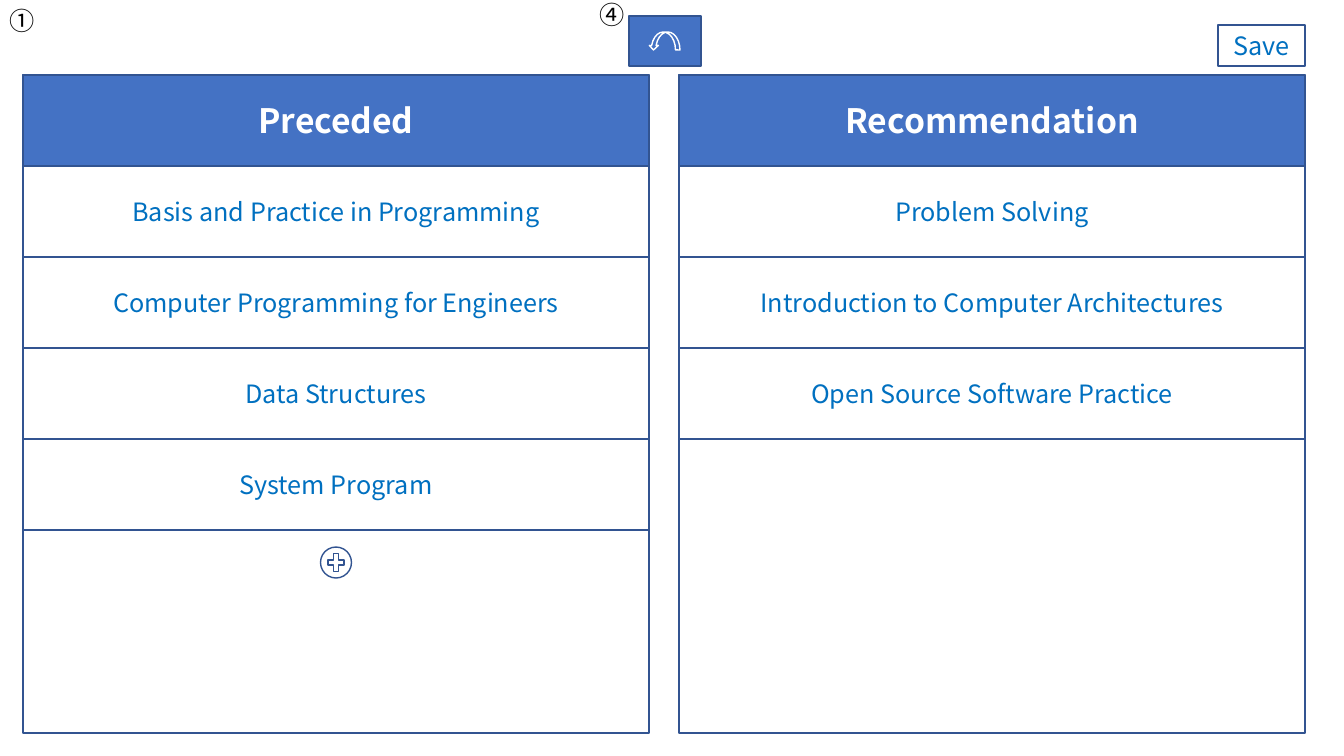
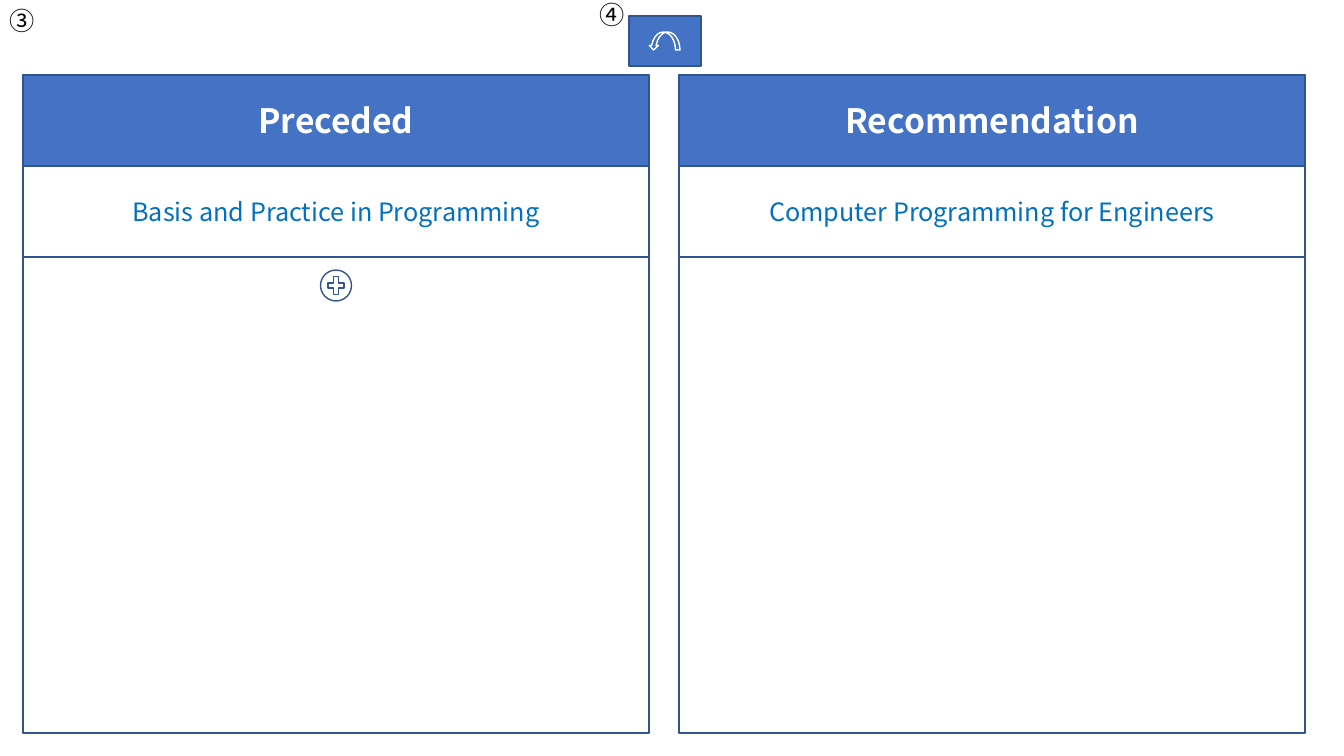
from pptx import Presentation
from pptx.dml.color import RGBColor
from pptx.enum.shapes import MSO_SHAPE
from pptx.enum.text import MSO_ANCHOR, MSO_AUTO_SIZE, PP_ALIGN
from pptx.oxml.ns import qn
from pptx.oxml.xmlchemy import OxmlElement
from pptx.util import Pt

# Content: headings are shared, courses differ by slide
HEADINGS = ("Preceded", "Recommendation")
SLIDES = [
    {
        "marker": "①",
        "courses": (
            ["Basis and Practice in Programming", "Computer Programming for Engineers",
             "Data Structures", "System Program"],
            ["Problem Solving", "Introduction to Computer Architectures",
             "Open Source Software Practice"],
        ),
        "add_gap": 17,
        "save": "Save",
    },
    {
        "marker": "③",
        "courses": (
            ["Basis and Practice in Programming"],
            ["Computer Programming for Engineers"],
        ),
        "add_gap": 13,
        "save": None,
    },
]
UNDO_MARKER = "④"

# Style
FONT = "Noto Sans CJK KR"
COLORS = {"blue": "4472C4", "border": "325491", "link": "0070C0",
          "white": "FFFFFF", "black": "000000"}

# Layout in px
PX = 914400 / 100.8
SLIDE_W, SLIDE_H = 1344, 756
PANEL_X, PANEL_Y, PANEL_W, PANEL_H = 23, 75, 626, 658
PANEL_GAP = 30
ROW_H = 91
ADD_SIZE, PLUS_W, PLUS_H = 31, 22, 25
MARKER_W, MARKER_H = 45, 40


def px(*lengths):
    return [round(n * PX) for n in lengths]


def color(name):
    return RGBColor.from_string(COLORS[name])


def write(sp, text, size, ink, bold=False, align=PP_ALIGN.CENTER):
    p = sp.text_frame.paragraphs[0]
    p.text = text
    p.alignment = align
    p.font.size, p.font.bold, p.font.name = Pt(size), bold, FONT
    p.font.color.rgb = color(ink)
    # East Asian typeface, used by the circled digits
    ea = OxmlElement("a:ea")
    ea.set("typeface", FONT)
    p._p.pPr.find(qn("a:defRPr")).append(ea)


def add_shape(slide, kind, box, fill=None, line="border"):
    sp = slide.shapes.add_shape(kind, *px(*box))
    sp.shadow.inherit = False
    if fill:
        sp.fill.solid()
        sp.fill.fore_color.rgb = color(fill)
    else:
        sp.fill.background()
    sp.line.color.rgb = color(line)
    sp.line.width = Pt(1)
    sp.text_frame.vertical_anchor = MSO_ANCHOR.MIDDLE
    return sp


def add_marker(slide, text, x, y):
    sp = slide.shapes.add_textbox(*px(x, y, MARKER_W, MARKER_H))
    sp.text_frame.word_wrap = False
    sp.text_frame.auto_size = MSO_AUTO_SIZE.SHAPE_TO_FIT_TEXT
    write(sp, text, 18, "black", align=PP_ALIGN.LEFT)


def add_panel(slide, x, heading, courses):
    add_shape(slide, MSO_SHAPE.RECTANGLE, (x, PANEL_Y, PANEL_W, PANEL_H))
    sp = add_shape(slide, MSO_SHAPE.RECTANGLE, (x, PANEL_Y, PANEL_W, ROW_H), "blue")
    write(sp, heading, 24, "white", bold=True)
    for i, course in enumerate(courses, 1):
        row = (x, PANEL_Y + i * ROW_H, PANEL_W, ROW_H)
        write(add_shape(slide, MSO_SHAPE.RECTANGLE, row), course, 18, "link")


def add_undo_button(slide):
    add_shape(slide, MSO_SHAPE.RECTANGLE, (629, 16, 72, 50), "blue")
    arrow = add_shape(slide, MSO_SHAPE.CURVED_DOWN_ARROW, (649, 32, 31, 18), line="white")
    arrow._element.spPr.find(qn("a:xfrm")).set("flipH", "1")
    add_marker(slide, UNDO_MARKER, 590, -6)


def add_plus_button(slide, top):
    center_x, center_y = PANEL_X + PANEL_W / 2, top + ADD_SIZE / 2
    for kind, w, h in ((MSO_SHAPE.OVAL, ADD_SIZE, ADD_SIZE),
                       (MSO_SHAPE.MATH_PLUS, PLUS_W, PLUS_H)):
        add_shape(slide, kind, (center_x - w / 2, center_y - h / 2, w, h), "white")


def build_slide(prs, page):
    slide = prs.slides.add_slide(prs.slide_layouts[6])
    add_marker(slide, page["marker"], 0, 0)
    for i, (heading, courses) in enumerate(zip(HEADINGS, page["courses"])):
        add_panel(slide, PANEL_X + i * (PANEL_W + PANEL_GAP), heading, courses)
    add_undo_button(slide)
    if page["save"]:
        sp = add_shape(slide, MSO_SHAPE.RECTANGLE, (1218, 25, 87, 41))
        write(sp, page["save"], 18, "link")
    rows_end = PANEL_Y + (len(page["courses"][0]) + 1) * ROW_H
    add_plus_button(slide, rows_end + page["add_gap"])


def main():
    prs = Presentation()
    prs.slide_width, prs.slide_height = px(SLIDE_W, SLIDE_H)
    for page in SLIDES:
        build_slide(prs, page)
    prs.save("out.pptx")


if __name__ == "__main__":
    main()
